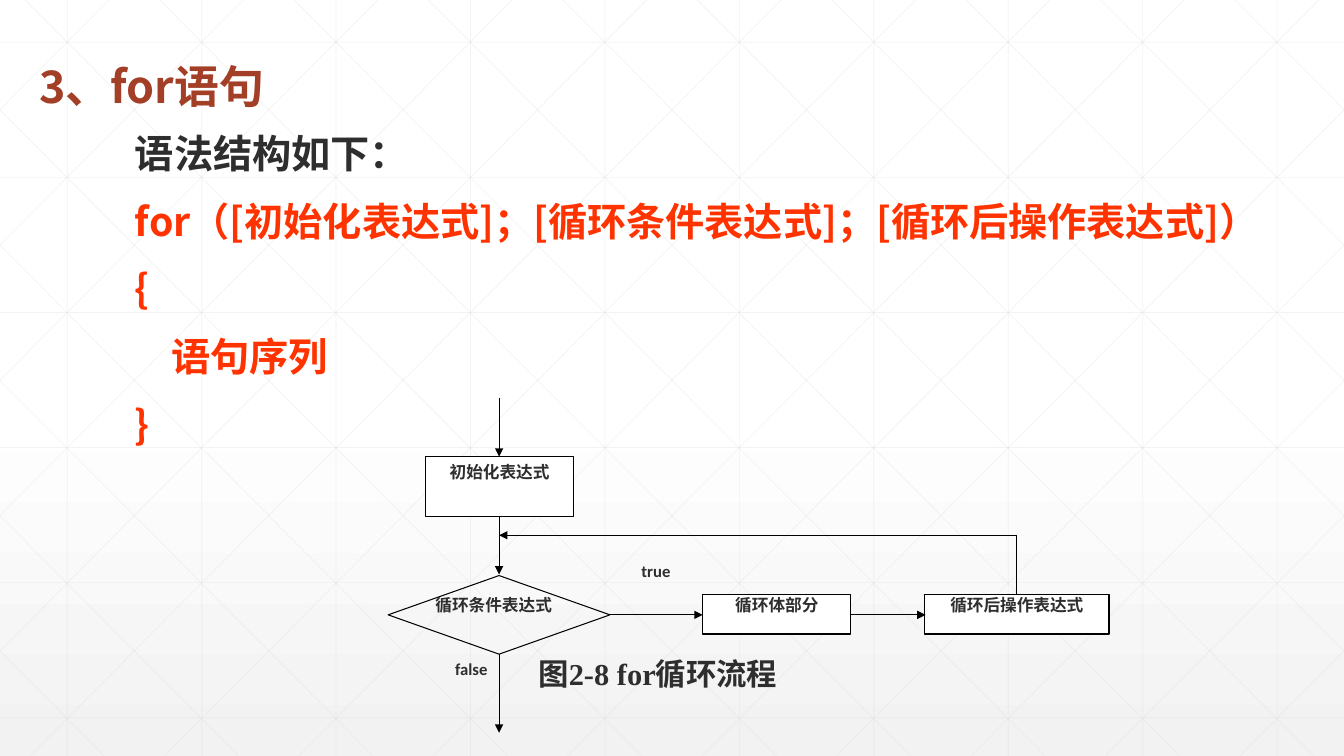
from dataclasses import dataclass

import pptx
import pptx.dml.color
import pptx.enum.dml
import pptx.enum.shapes
import pptx.enum.text
import pptx.oxml.ns
import pptx.util
from lxml import etree

Inches = pptx.util.Inches
Align = pptx.enum.text.PP_ALIGN
Anchor = pptx.enum.text.MSO_ANCHOR
Preset = pptx.enum.shapes.MSO_SHAPE
qn = pptx.oxml.ns.qn

WIDTH, HEIGHT = 13.33, 7.5


@dataclass(frozen=True)
class TextStyle:
    size: float
    color: str
    font: str


@dataclass(frozen=True)
class Theme:
    white: str = "FFFFFF"
    shade: str = "F2F2F2"
    grid: str = "D9D9D9"
    ink: str = "000000"
    east_asian: str = "Noto Sans CJK SC"
    title: TextStyle = TextStyle(32, "A43F27", "Noto Sans CJK SC")
    body: TextStyle = TextStyle(28, "2D2E2D", "Noto Sans CJK SC")
    syntax: TextStyle = TextStyle(28, "FF3300", "Noto Sans CJK SC")
    label: TextStyle = TextStyle(11.9, "2D2E2D", "Calibri")
    caption: TextStyle = TextStyle(21.7, "2D2E2D", "Times New Roman")


THEME = Theme()


@dataclass(frozen=True)
class Box:
    left: float
    top: float
    width: float
    height: float

    def lengths(self) -> list[int]:
        return [Inches(v) for v in (self.left, self.top, self.width, self.height)]


@dataclass(frozen=True)
class Line:
    x1: float
    y1: float
    x2: float
    y2: float
    arrow: bool = True


@dataclass(frozen=True)
class Step:
    box: Box
    text: str = ""
    preset: Preset = Preset.RECTANGLE
    filled: bool = True
    inset: float = 0.0


@dataclass(frozen=True)
class Label:
    box: Box
    text: str
    style: TextStyle = THEME.label
    align: Align = Align.CENTER
    anchor: Anchor = Anchor.TOP
    inset: float = 0.05
    spacing: float = 1.0


@dataclass(frozen=True)
class SyntaxLine:
    text: str
    style: TextStyle = THEME.syntax
    indent: float = 0.39


STEPS = [
    Step(Box(4.22, 4.53, 1.47, 0.59), "初始化表达式", inset=0.05),
    Step(Box(3.85, 5.71, 2.2, 0.78), preset=Preset.DIAMOND, filled=False),
    Step(Box(6.97, 5.9, 1.47, 0.39), "循环体部分"),
    Step(Box(9.17, 5.9, 1.83, 0.39), "循环后操作表达式"),
]
FLOW = [
    Line(4.95, 3.95, 4.95, 4.53),
    Line(4.95, 5.12, 4.95, 5.7),
    Line(4.95, 6.49, 4.95, 7.27),
    Line(6.05, 6.1, 6.97, 6.1),
    Line(8.43, 6.1, 9.18, 6.1),
    Line(10.08, 5.9, 10.08, 5.31, arrow=False),
    Line(10.08, 5.31, 4.95, 5.31),
]
LABELS = [
    Label(Box(0.29, 0.17, 8.91, 1), "3、for语句", THEME.title, Align.LEFT, Anchor.BOTTOM, spacing=0.9),
    Label(Box(4.22, 6.49, 0.91, 0.59), "false"),
    Label(Box(6.05, 5.51, 0.91, 0.58), "true"),
    Label(Box(4.22, 5.9, 1.65, 0.79), "循环条件表达式", align=Align.LEFT, inset=0),
    Label(Box(4.38, 6.46, 4.29, 0.45), "图2-8 for循环流程", THEME.caption, anchor=Anchor.MIDDLE),
]
SYNTAX_BOX = Box(0.85, 1.29, 12.2, 2.91)
SYNTAX = [
    SyntaxLine("语法结构如下：", THEME.body),
    SyntaxLine("for（[初始化表达式]；[循环条件表达式]；[循环后操作表达式]）"),
    SyntaxLine("{"),
    SyntaxLine("语句序列", indent=0.75),
    SyntaxLine("}"),
]


def rgb(color: str) -> pptx.dml.color.RGBColor:
    return pptx.dml.color.RGBColor.from_string(color)


def write(paragraph, text: str, style: TextStyle, align: Align) -> None:
    paragraph.text = text
    paragraph.alignment = align
    font = paragraph.font
    font.size = pptx.util.Pt(style.size)
    font.bold = True
    font.color.rgb = rgb(style.color)
    font.name = style.font
    defaults = paragraph._p.pPr.find(qn("a:defRPr"))
    etree.SubElement(defaults, qn("a:ea"), typeface=THEME.east_asian)


def draw_line(slide, line: Line, color: str, width: float):
    connector = slide.shapes.add_connector(
        pptx.enum.shapes.MSO_CONNECTOR.STRAIGHT,
        *(Inches(v) for v in (line.x1, line.y1, line.x2, line.y2)),
    )
    connector.line.color.rgb = rgb(color)
    connector.line.width = pptx.util.Pt(width)
    properties = connector._element.spPr
    etree.SubElement(properties, qn("a:effectLst"))
    if line.arrow:
        etree.SubElement(properties.find(qn("a:ln")), qn("a:tailEnd"), type="triangle")
    return connector


def diagonals() -> list[Line]:
    """Parallel diagonals clipped to the slide, each with its mirror image."""
    run = 7.45
    slope = HEIGHT / run
    lines = []
    for index in range(-5, 10):
        start = 0.25 + index * 4 / 3
        x1, x2 = max(start, 0), min(start + run, WIDTH)
        y1, y2 = (x1 - start) * slope, (x2 - start) * slope
        lines.append(Line(x1, y1, x2, y2, arrow=False))
        lines.append(Line(WIDTH - x1, y1, WIDTH - x2, y2, arrow=False))
    return lines


def draw_background(slide) -> None:
    fill = slide.background.fill
    fill.gradient()
    fill.gradient_angle = 270
    for stop, position, color in zip(fill.gradient_stops, (0.53, 1), (THEME.white, THEME.shade)):
        stop.position = position
        stop.color.rgb = rgb(color)
    columns = [(2 + 4 * i) / 3 for i in range(10)]
    rows = [0.42 + 1.34 * i for i in range(6)]
    grid = [Line(x, 0, x, HEIGHT, arrow=False) for x in columns]
    grid += [Line(0, y, WIDTH, y, arrow=False) for y in rows]
    for line in grid + diagonals():
        connector = draw_line(slide, line, THEME.grid, 0.5)
        color = connector._element.spPr.find(".//" + qn("a:srgbClr"))
        etree.SubElement(color, qn("a:alpha"), val="30000")


def draw_step(slide, step: Step) -> None:
    shape = slide.shapes.add_shape(step.preset, *step.box.lengths())
    shape.shadow.inherit = False
    if step.filled:
        shape.fill.solid()
        shape.fill.fore_color.rgb = rgb(THEME.white)
    else:
        shape.fill.background()
    shape.line.color.rgb = rgb(THEME.ink)
    shape.line.width = pptx.util.Pt(0.75)
    if step.text:
        frame = shape.text_frame
        frame.vertical_anchor = Anchor.TOP
        frame.margin_top = frame.margin_bottom = Inches(step.inset)
        write(frame.paragraphs[0], step.text, THEME.label, Align.CENTER)


def draw_label(slide, label: Label) -> None:
    frame = slide.shapes.add_textbox(*label.box.lengths()).text_frame
    frame.word_wrap = True
    frame.vertical_anchor = label.anchor
    frame.margin_top = Inches(label.inset)
    frame.paragraphs[0].line_spacing = label.spacing
    write(frame.paragraphs[0], label.text, label.style, label.align)


def draw_syntax(slide) -> None:
    frame = slide.shapes.add_textbox(*SYNTAX_BOX.lengths()).text_frame
    frame.word_wrap = True
    for index, line in enumerate(SYNTAX):
        paragraph = frame.add_paragraph() if index else frame.paragraphs[0]
        paragraph.line_spacing = 0.9
        paragraph.space_before = pptx.util.Pt(18 if index else 0)
        write(paragraph, line.text, line.style, Align.LEFT)
        paragraph._p.pPr.set("indent", str(Inches(line.indent)))


def main() -> None:
    deck = pptx.Presentation()
    deck.slide_width, deck.slide_height = Inches(WIDTH), Inches(HEIGHT)
    slide = deck.slides.add_slide(deck.slide_layouts[6])
    draw_background(slide)
    draw_syntax(slide)
    for step in STEPS:
        draw_step(slide, step)
    for line in FLOW:
        draw_line(slide, line, THEME.ink, 0.75)
    for label in LABELS:
        draw_label(slide, label)
    deck.save("out.pptx")


if __name__ == "__main__":
    main()
